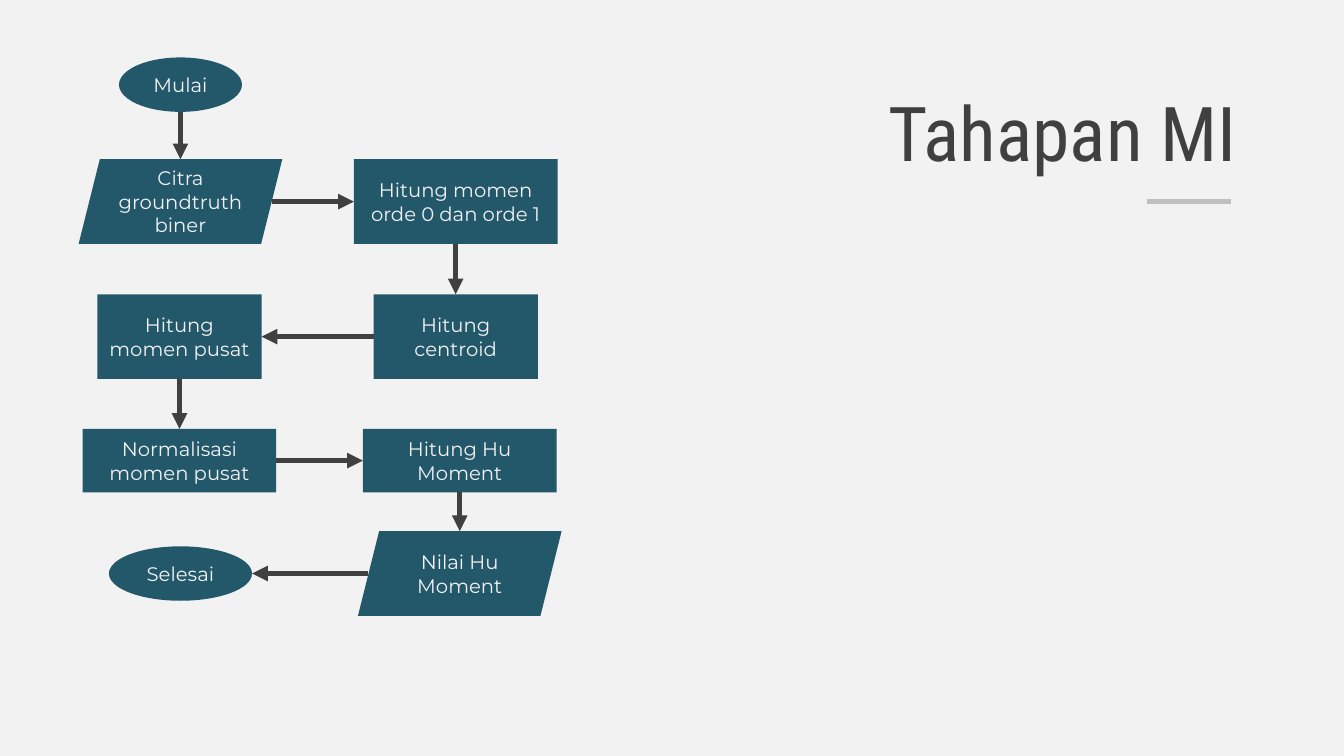
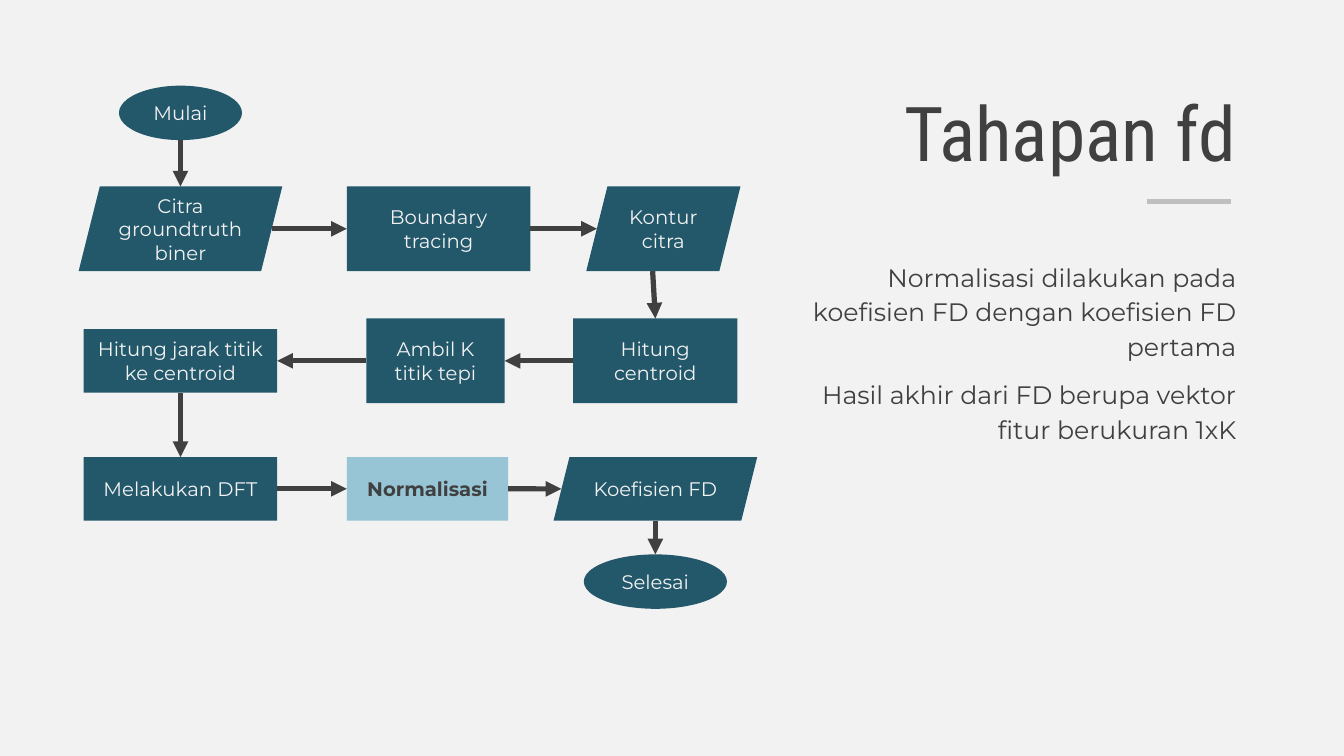
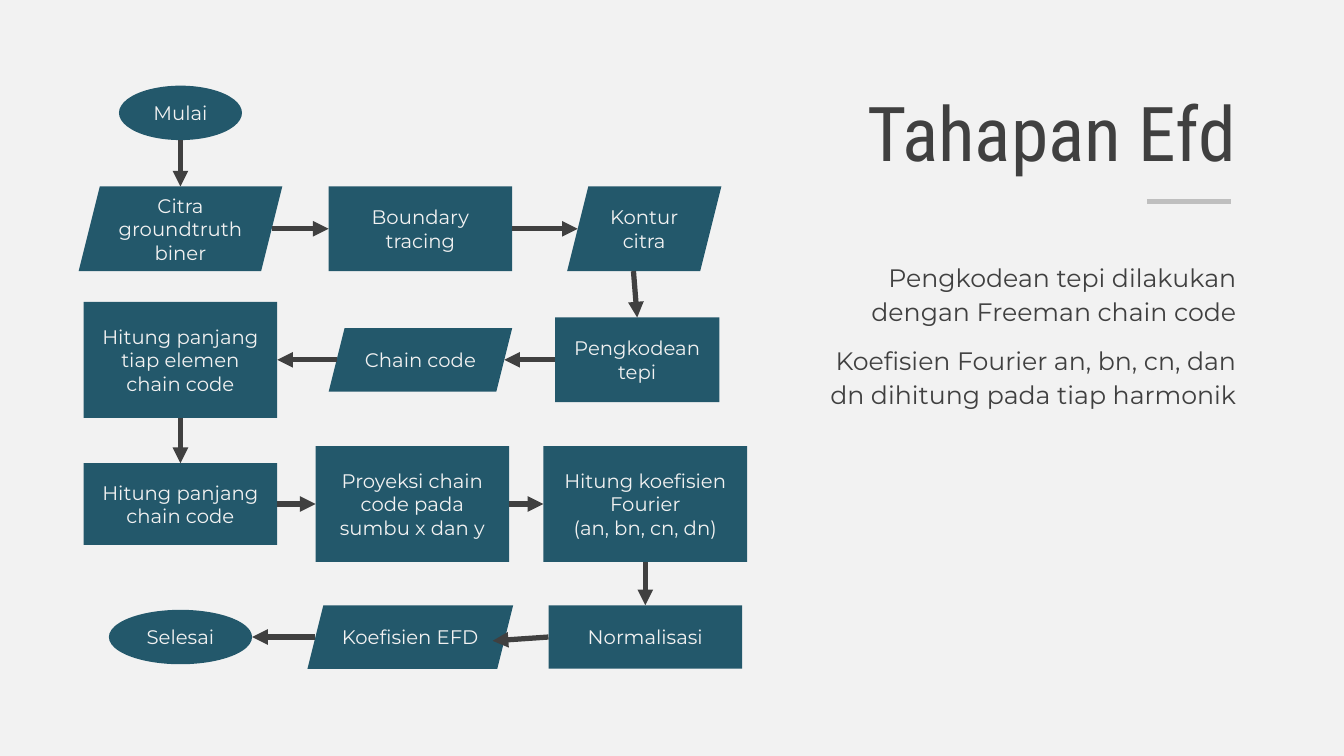
from itertools import pairwise

from lxml.etree import SubElement
from pptx import Presentation
from pptx.dml.color import RGBColor
from pptx.enum.shapes import MSO_CONNECTOR, MSO_SHAPE
from pptx.enum.text import MSO_ANCHOR, PP_ALIGN
from pptx.oxml.ns import qn
from pptx.util import Inches, Pt

PAPER, INK, TEAL, SKY, RULE = "F2F2F2", "404040", "23586B", "97C5D5", "BFBFBF"

TITLE_FORMAT = {"name": "Roboto Condensed", "size": Pt(54), "color": INK}
NODE_FORMAT = {"name": "Montserrat", "size": Pt(14), "color": PAPER}
FOCUS_FORMAT = {**NODE_FORMAT, "color": INK, "bold": True}
NOTE_FORMAT = {"name": "Montserrat", "size": Pt(18), "color": INK}

KINDS = {
    "end": (MSO_SHAPE.OVAL, TEAL, NODE_FORMAT),
    "data": (MSO_SHAPE.PARALLELOGRAM, TEAL, NODE_FORMAT),
    "step": (MSO_SHAPE.RECTANGLE, TEAL, NODE_FORMAT),
    "focus": (MSO_SHAPE.RECTANGLE, SKY, FOCUS_FORMAT),
}

TOP, LEFT, BOTTOM, RIGHT = range(4)
SIDES = {TOP: (0.5, 0), LEFT: (0, 0.5), BOTTOM: (0.5, 1), RIGHT: (1, 0.5)}
SPECIAL_DOCKS = {
    ("Kontur citra", BOTTOM): (0.43, 1),
    ("Koefisien EFD", RIGHT): (0.9, 0.56),
}

TITLE_BOX = (7.8, 0.8, 4.56, 1.12)
NOTE_BOX = (7.92, 2.51, 4.44, 2.37)

# Every node: kind, text, centre x, centre y, width, height
SLIDES = [
    {
        "title": "Tahapan MI",
        "origin": (0.78, 0.57),
        "nodes": [
            ("end", "Mulai", 1.01, 0.27, 1.22, 0.54),
            ("data", "Citra groundtruth biner", 1.01, 1.43, 2.02, 0.84),
            ("step", "Hitung momen orde 0 dan orde 1", 3.74, 1.43, 2.02, 0.84),
            ("step", "Hitung centroid", 3.74, 2.77, 1.63, 0.84),
            ("step", "Hitung momen pusat", 1, 2.77, 1.63, 0.84),
            ("step", "Normalisasi momen pusat", 1, 4, 1.92, 0.63),
            ("step", "Hitung Hu Moment", 3.78, 4, 1.92, 0.63),
            ("data", "Nilai Hu Moment", 3.78, 5.12, 2.02, 0.84),
            ("end", "Selesai", 1.01, 5.12, 1.42, 0.54),
        ],
        "notes": [],
    },
    {
        "title": "Tahapan fd",
        "origin": (0.78, 0.85),
        "nodes": [
            ("end", "Mulai", 1.01, 0.27, 1.22, 0.54),
            ("data", "Citra groundtruth biner", 1.01, 1.42, 2.02, 0.84),
            ("step", "Boundary tracing", 3.57, 1.42, 1.82, 0.84),
            ("data", "Kontur citra", 5.8, 1.42, 1.53, 0.84),
            ("step", "Hitung centroid", 5.72, 2.73, 1.63, 0.84),
            ("step", "Ambil K titik tepi", 3.54, 2.73, 1.37, 0.84),
            ("step", "Hitung jarak titik ke centroid", 1.01, 2.73, 1.92, 0.63),
            ("step", "Melakukan DFT", 1.01, 4, 1.92, 0.63),
            ("focus", "Normalisasi", 3.46, 4, 1.6, 0.63),
            ("data", "Koefisien FD", 5.72, 4, 2.02, 0.63),
            ("end", "Selesai", 5.72, 4.92, 1.42, 0.54),
        ],
        "notes": [
            "Normalisasi dilakukan pada koefisien FD dengan koefisien FD pertama",
            "Hasil akhir dari FD berupa vektor fitur berukuran 1xK",
        ],
    },
    {
        "title": "Tahapan Efd",
        "origin": (0.78, 0.85),
        "nodes": [
            ("end", "Mulai", 1.01, 0.27, 1.22, 0.54),
            ("data", "Citra groundtruth biner", 1.01, 1.42, 2.02, 0.84),
            ("step", "Boundary tracing", 3.39, 1.42, 1.82, 0.84),
            ("data", "Kontur citra", 5.61, 1.42, 1.53, 0.84),
            ("step", "Pengkodean tepi", 5.54, 2.72, 1.63, 0.84),
            ("data", "Chain code", 3.39, 2.72, 1.82, 0.63),
            ("step", "Hitung panjang tiap elemen chain code", 1.01, 2.72, 1.92, 1.15),
            ("step", "Hitung panjang chain code", 1.01, 4.15, 1.92, 0.81),
            ("step", "Proyeksi chain code pada sumbu x dan y", 3.31, 4.15, 1.92, 1.15),
            ("step", "Hitung koefisien Fourier\n(an, bn, cn, dn)", 5.62, 4.15, 2.02, 1.15),
            ("step", "Normalisasi", 5.62, 5.47, 1.92, 0.63),
            ("data", "Koefisien EFD", 3.29, 5.47, 2.04, 0.63),
            ("end", "Selesai", 1.01, 5.47, 1.42, 0.54),
        ],
        "notes": [
            "Pengkodean tepi dilakukan dengan Freeman chain code",
            "Koefisien Fourier an, bn, cn, dan dn dihitung pada tiap harmonik",
        ],
    },
]


def color(value):
    return RGBColor.from_string(value)


def write(shape, lines, font_format, anchor, align, spacing=None, gap=0):
    frame = shape.text_frame
    frame.word_wrap = True
    frame.vertical_anchor = anchor
    for index, line in enumerate(lines):
        para = frame.add_paragraph() if index else frame.paragraphs[0]
        para.alignment = align
        if spacing:
            para.line_spacing = spacing
        if index and gap:
            para.space_before = Pt(gap)
        span = para.add_run()
        span.text = line
        for name, value in font_format.items():
            if name == "color":
                span.font.color.rgb = color(value)
            else:
                setattr(span.font, name, value)


def add_line(page, start, end, tint, width, arrow=False):
    line = page.shapes.add_connector(
        MSO_CONNECTOR.STRAIGHT, *(Inches(value) for value in (*start, *end))
    )
    line.line.color.rgb = color(tint)
    line.line.width = Pt(width)
    if arrow:
        SubElement(line.line._get_or_add_ln(), qn("a:tailEnd"), type="triangle")
    SubElement(line._element.spPr, qn("a:effectLst"))
    return line


def add_title(page, box, text):
    left, top, width, height = box
    title = page.shapes.add_textbox(*map(Inches, box))
    write(title, [text], TITLE_FORMAT, MSO_ANCHOR.MIDDLE, PP_ALIGN.RIGHT, 0.9)
    right, below = left + width - 0.15, top + height + 0.08
    add_line(page, (right - 0.83, below), (right, below), RULE, 3.25)


def add_notes(page, box, lines):
    notes = page.shapes.add_textbox(*map(Inches, box))
    write(notes, lines, NOTE_FORMAT, MSO_ANCHOR.TOP, PP_ALIGN.RIGHT, 1.14, 10)


def add_node(page, origin, node):
    kind, text, x, y, width, height = node
    outline, fill, font_format = KINDS[kind]
    box = (origin[0] + x - width / 2, origin[1] + y - height / 2, width, height)
    shape = page.shapes.add_shape(outline, *map(Inches, box))
    shape.shadow.inherit = False
    shape.fill.solid()
    shape.fill.fore_color.rgb = color(fill)
    shape.line.fill.background()
    write(shape, text.split("\n"), font_format, MSO_ANCHOR.MIDDLE, PP_ALIGN.CENTER)
    return shape


def dock(origin, node, side):
    kind, text, x, y, width, height = node
    across, down = SPECIAL_DOCKS.get((text, side), SIDES[side])
    slant = height / 8 if kind == "data" else 0
    inset = {(LEFT, 0): slant, (RIGHT, 1): -slant}.get((side, across), 0)
    return (
        origin[0] + x + (across - 0.5) * width + inset,
        origin[1] + y + (down - 0.5) * height,
    )


def sides_between(first, second):
    if first[3] != second[3]:
        return BOTTOM, TOP
    return (RIGHT, LEFT) if first[2] < second[2] else (LEFT, RIGHT)


def add_flow(page, origin, nodes):
    placed = [(node, add_node(page, origin, node)) for node in nodes]
    for (first, source), (second, target) in pairwise(placed):
        leave, enter = sides_between(first, second)
        start, end = dock(origin, first, leave), dock(origin, second, enter)
        arrow = add_line(page, start, end, INK, 3.75, arrow=True)
        if first[0] in ("step", "focus"):
            arrow.begin_connect(source, leave)
        if second[0] in ("step", "focus"):
            arrow.end_connect(target, enter)


def main():
    deck = Presentation()
    deck.slide_width, deck.slide_height = Inches(13.33), Inches(7.5)
    backdrop = deck.slide_master.background.fill
    backdrop.solid()
    backdrop.fore_color.rgb = color(PAPER)
    for content in SLIDES:
        page = deck.slides.add_slide(deck.slide_layouts[6])
        add_title(page, TITLE_BOX, content["title"])
        add_flow(page, content["origin"], content["nodes"])
        if content["notes"]:
            add_notes(page, NOTE_BOX, content["notes"])
    deck.save("out.pptx")


if __name__ == "__main__":
    main()
